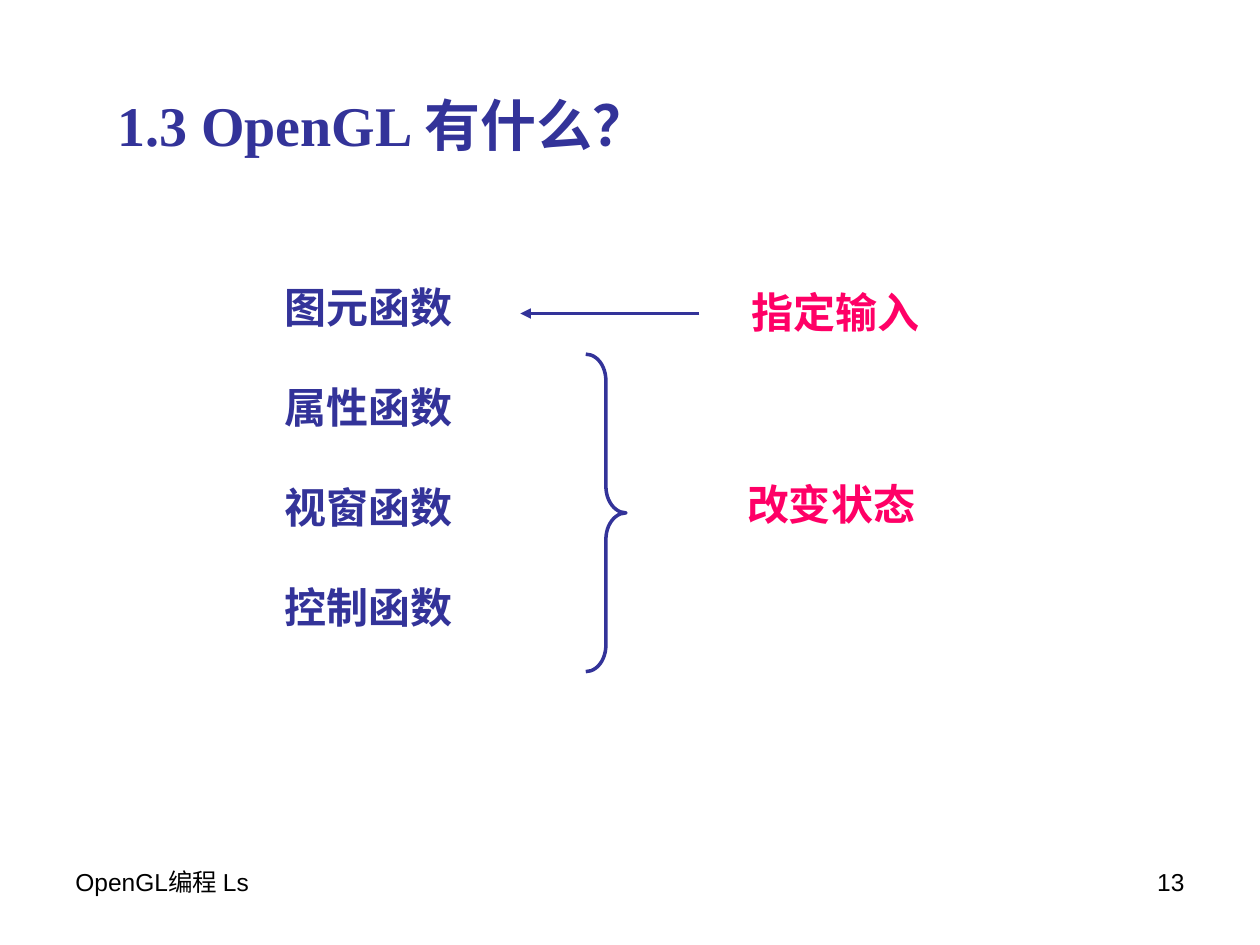
from pptx import Presentation
from pptx import util as u
from pptx.dml.color import RGBColor
from pptx.enum import shapes, text
from pptx.oxml.ns import qn
from lxml import etree

Cm, Pt = u.Cm, u.Pt
LEFT, RIGHT = text.PP_ALIGN.LEFT, text.PP_ALIGN.RIGHT

THEME = {
    "title": {"name": "Times New Roman", "size": Pt(32), "bold": True, "color": "333399"},
    "functions": {"name": "Arial", "size": Pt(24), "bold": True, "color": "333399"},
    "role": {"name": "Arial", "size": Pt(24), "bold": True, "color": "FF0066"},
    "footer": {"name": "Arial", "size": Pt(14), "bold": False, "color": "000000"},
    "line": {"width": Pt(2), "color": "333399"},
}


def write(shape, lines, style, align=LEFT, gap=0, wrap=True):
    frame = shape.text_frame
    settings = {"word_wrap": wrap, "auto_size": text.MSO_AUTO_SIZE.NONE,
                "vertical_anchor": text.MSO_ANCHOR.TOP}
    for key, value in settings.items():
        setattr(frame, key, value)
    frame.text = "\n".join(lines)
    for index, paragraph in enumerate(frame.paragraphs):
        properties = paragraph._p.get_or_add_pPr()
        properties.set("marL", "0")
        properties.set("indent", "0")
        etree.SubElement(properties, qn("a:buNone"))
        paragraph.alignment = align
        paragraph.space_before = Pt(gap if index else 0)
        for run in paragraph.runs:
            for key in ("name", "size", "bold"):
                setattr(run.font, key, THEME[style][key])
            run.font.color.rgb = RGBColor.from_string(THEME[style]["color"])


def place(shape, left, top, width, height):
    shape.left, shape.top, shape.width, shape.height = map(Cm, (left, top, width, height))


prs = Presentation()
prs.slide_width, prs.slide_height = Cm(25.4), Cm(19.05)
slide = prs.slides.add_slide(prs.slide_layouts[1])

# Title and the list of function groups
title, functions = slide.shapes.title, slide.placeholders[1]
place(title, 2.11, 1.7, 13, 1.63)
write(title, ["1.3 OpenGL 有什么？"], "title")
place(functions, 5.49, 5.54, 4.6, 7.37)
write(functions, ["图元函数", "属性函数", "视窗函数", "控制函数"], "functions", gap=28.5)

# What the functions do
for role, left, top in (("指定输入", 14.91, 5.66), ("改变状态", 14.81, 9.53)):
    role_label = slide.shapes.add_textbox(Cm(left), Cm(top), Cm(3.89), Cm(1.27))
    write(role_label, [role], "role", wrap=False)

input_arrow = slide.shapes.add_connector(
    shapes.MSO_CONNECTOR.STRAIGHT, Cm(14.1), Cm(6.32), Cm(10.49), Cm(6.32))
state_brace = slide.shapes.add_shape(
    shapes.MSO_SHAPE.RIGHT_BRACE, Cm(11.81), Cm(7.14), Cm(0.81), Cm(6.4))
state_brace.adjustments[0] = 0.66
state_brace.fill.background()
state_brace.shadow.inherit = False
for mark in (input_arrow, state_brace):
    mark.line.width = THEME["line"]["width"]
    mark.line.color.rgb = RGBColor.from_string(THEME["line"]["color"])
etree.SubElement(input_arrow.line._get_or_add_ln(), qn("a:tailEnd"), type="triangle")
etree.SubElement(input_arrow._element.spPr, qn("a:effectLst"))

# Footer
for footer, left, align in (("OpenGL编程 Ls", 1.27, LEFT), ("13", 18.21, RIGHT)):
    footer_label = slide.shapes.add_textbox(Cm(left), Cm(17.35), Cm(5.92), Cm(1.32))
    write(footer_label, [footer], "footer", align)

prs.save("out.pptx")
